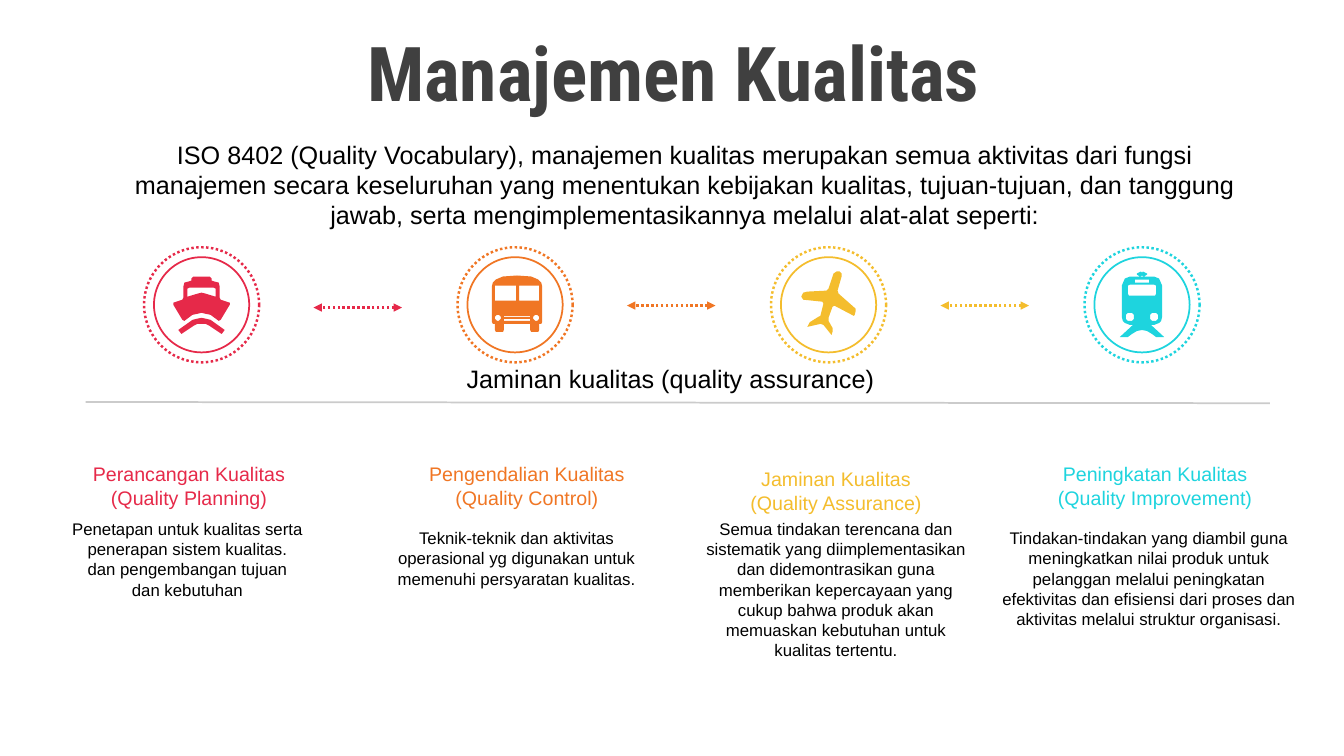
"""Build the quality management slide with its four transport medallions."""
from dataclasses import dataclass
from math import cos, pi, sin

from lxml.etree import SubElement
from pptx import Presentation
from pptx.dml.color import RGBColor
from pptx.enum.dml import MSO_LINE
from pptx.enum.shapes import MSO_CONNECTOR, MSO_SHAPE
from pptx.enum.text import MSO_ANCHOR, MSO_AUTO_SIZE, PP_ALIGN
from pptx.oxml.ns import qn
from pptx.util import Cm, Pt

Contour = list[tuple[float, float]]

COLORS = {
    "planning": "E62949", "control": "F07624", "assurance": "F4BD2D",
    "improvement": "1ED4DE", "title": "404040", "body": "000000", "rule": "CBCBCB",
}
TITLE_FONT = {"name": "Roboto Condensed", "size": Pt(54), "bold": True}
LEAD_FONT = {"name": "Arial", "size": Pt(18)}
HEADING_FONT = {"name": "Arial", "size": Pt(14)}
DETAIL_FONT = {"name": "Arial", "size": Pt(12)}
PITCH, FIRST_CENTER, CENTER_Y = 7.9, 5.08, 7.68
ICON_UNIT = Cm(0.0254)


@dataclass
class Box:
    left: float
    top: float
    width: float
    height: float


@dataclass
class Step:
    color: str
    heading: str
    heading_box: Box
    detail: str
    detail_box: Box
    icon: list[Contour]
    arrow_y: float | None = None


def mirrored(half: Contour, axis: float = 0) -> Contour:
    return [(axis + x, y) for x, y in half] + [(axis - x, y) for x, y in reversed(half)]


def oblong(left: float, top: float, right: float, bottom: float) -> Contour:
    return [(left, top), (right, top), (right, bottom), (left, bottom)]


def disc(x: float, y: float, radius: float) -> Contour:
    return [(x + radius * cos(k * pi / 8), y + radius * sin(k * pi / 8)) for k in range(16)]


SHIP = [
    mirrored([(0, 13), (5, 13.6), (9, 15), (16, 20), (23, 25), (20, 29),
              (8, 21), (4, 19.4), (0, 18.8)]),
    mirrored([(0, -17), (12, -17), (14, -16), (14, -7.5), (4, -11), (0, -12.5)]),
    mirrored([(0, -28), (8, -28), (10, -26), (10, -24), (13, -23), (17, -22), (18, -18),
              (18, -7), (19, -5), (28, -2), (28, 0), (19, 15), (17, 16), (9, 10.5),
              (4, 9), (0, 8.5)]),
]
BUS = [
    mirrored([(0, -29), (14, -28), (21, -25), (24, -22), (25, -18), (25, 17), (24, 19),
              (22, 19), (22, 25), (21, 27), (14, 27), (13, 25), (13, 19)], 2),
    oblong(-20, -19, 1, -4), oblong(4, -19, 24, -4),
    oblong(-11, 14, 15, 16), oblong(-11, 11, 15, 12),
    disc(-17, 13, 3), disc(21, 13, 3),
]
PLANE = [[
    (3, 30), (-5, 20), (-8, 19), (-21, 22), (-19, 18), (-18, 17), (-10, 12), (-8, 11),
    (-5, -1), (-6, -3), (-25, -5), (-27, -8), (-25, -12), (-21, -13), (-2, -14), (0, -16),
    (4, -28), (5, -31), (8, -33), (11, -33), (13, -31), (13, -28), (9, -14), (10, -11),
    (27, 4), (27, 6), (26, 10), (25, 11), (6, 1), (4, 2), (0, 13), (0, 16), (4, 23), (4, 27),
]]
TRAIN = [
    mirrored([(0, -28), (12, -28), (17, -26), (20, -19), (20, 12), (19, 16), (17, 18),
              (12, 20), (9, 20), (22, 32), (14, 32), (10, 29), (5, 26), (0, 25)]),
    disc(-12, 12, 4), disc(12, 12, 4),
    mirrored([(0, -20), (12, -20), (14, -19), (14.5, -17), (14.5, -11), (13, -9), (0, -9)]),
    oblong(-7, -25, 7, -22),
    mirrored([(0, -32), (1, -33), (3, -32), (5, -31), (5, -30), (2, -28), (0, -29)]),
]

STEPS = [
    Step("planning", "Perancangan Kualitas (Quality Planning)", Box(1.83, 11.51, 5.87, 1.45),
         "Penetapan untuk kualitas serta penerapan sistem kualitas. dan pengembangan tujuan "
         "dan kebutuhan", Box(1.55, 12.95, 6.35, 2.31), SHIP, 7.75),
    Step("control", "Pengendalian Kualitas (Quality Control)", Box(10.41, 11.51, 5.74, 1.45),
         "Teknik-teknik dan aktivitas operasional yg digunakan untuk memenuhi persyaratan "
         "kualitas.", Box(9.45, 13.18, 7.14, 1.8), BUS, 7.7),
    Step("assurance", "Jaminan Kualitas (Quality Assurance)", Box(18.49, 11.63, 5.16, 1.45),
         "Semua tindakan terencana dan sistematik yang diimplementasikan dan didemontrasikan "
         "guna memberikan kepercayaan yang cukup bahwa produk akan memuaskan kebutuhan untuk "
         "kualitas tertentu.", Box(17.3, 12.95, 7.54, 3.84), PLANE, 7.7),
    Step("improvement", "Peningkatan Kualitas (Quality Improvement)",
         Box(26.24, 11.51, 5.74, 1.45),
         "Tindakan-tindakan yang diambil guna meningkatkan nilai produk untuk pelanggan "
         "melalui peningkatan efektivitas dan efisiensi dari proses dan aktivitas melalui "
         "struktur organisasi.", Box(24.89, 13.18, 8.13, 2.82), TRAIN),
]


def rgb(color: str) -> RGBColor:
    return RGBColor.from_string(COLORS[color])


def add_text(shapes, words: str, box: Box, font: dict, color: str = "body",
             anchor=MSO_ANCHOR.TOP, align=PP_ALIGN.CENTER, wrap: bool = True,
             grow: bool = True, spacing: dict | None = None) -> None:
    frame = shapes.add_textbox(
        Cm(box.left), Cm(box.top), Cm(box.width), Cm(box.height)).text_frame
    frame.word_wrap = wrap
    frame.auto_size = MSO_AUTO_SIZE.SHAPE_TO_FIT_TEXT if grow else MSO_AUTO_SIZE.NONE
    frame.vertical_anchor = anchor
    paragraph = frame.paragraphs[0]
    for name, value in {"alignment": align, **(spacing or {})}.items():
        setattr(paragraph, name, value)
    run = paragraph.add_run()
    run.text = words
    for name, value in font.items():
        setattr(run.font, name, value)
    run.font.color.rgb = rgb(color)


def style_line(line, color: str, width: float, dotted: bool) -> None:
    line.color.rgb = rgb(color)
    line.width = Pt(width)
    if dotted:
        line.dash_style = MSO_LINE.ROUND_DOT


def add_line(shapes, start: tuple[float, float], end: tuple[float, float], color: str,
             width: float, arrow: bool = False) -> None:
    connector = shapes.add_connector(
        MSO_CONNECTOR.STRAIGHT, *(Cm(value) for value in (*start, *end)))
    style_line(connector.line, color, width, arrow)
    properties = connector.element.spPr
    if arrow:
        for tip in ("a:headEnd", "a:tailEnd"):
            SubElement(properties.find(qn("a:ln")), qn(tip), type="triangle")
    SubElement(properties, qn("a:effectLst"))


def add_ring(shapes, center: float, size: float, color: str, width: float,
             dotted: bool) -> None:
    ring = shapes.add_shape(MSO_SHAPE.OVAL, Cm(center - size / 2), Cm(CENTER_Y - size / 2),
                            Cm(size), Cm(size))
    ring.rotation = 180
    ring.shadow.inherit = False
    ring.fill.background()
    style_line(ring.line, color, width, dotted)


def add_icon(shapes, center: float, contours: list[Contour], color: str) -> None:
    builder = shapes.build_freeform(*contours[0][0], scale=ICON_UNIT)
    for index, contour in enumerate(contours):
        if index:
            builder.move_to(*contour[0])
        builder.add_line_segments(contour[1:], close=True)
    icon = builder.convert_to_shape(Cm(center), Cm(CENTER_Y))
    icon.shadow.inherit = False
    icon.fill.solid()
    icon.fill.fore_color.rgb = rgb(color)
    icon.line.fill.background()


def main() -> None:
    deck = Presentation()
    deck.slide_width, deck.slide_height = Cm(33.87), Cm(19.05)
    shapes = deck.slides.add_slide(deck.slide_layouts[6]).shapes
    add_text(shapes, "Manajemen Kualitas", Box(0.89, 0.94, 32.16, 2.01), TITLE_FONT, "title",
             MSO_ANCHOR.MIDDLE, grow=False,
             spacing={"line_spacing": 0.9, "space_before": Pt(10)})
    add_text(shapes, "ISO 8402 (Quality Vocabulary), manajemen kualitas merupakan semua "
             "aktivitas dari fungsi manajemen secara keseluruhan yang menentukan kebijakan "
             "kualitas, tujuan-tujuan, dan tanggung jawab, serta mengimplementasikannya "
             "melalui alat-alat seperti:", Box(2.51, 3.38, 29.49, 2.57), LEAD_FONT)
    add_line(shapes, (2.16, 10.13), (32, 10.16), "rule", 1.25)
    for index, step in enumerate(STEPS):
        center = FIRST_CENTER + index * PITCH
        add_ring(shapes, center, 2.4, step.color, 1.25, False)
        add_ring(shapes, center, 2.9, step.color, 1.75, True)
        add_icon(shapes, center, step.icon, step.color)
        if step.arrow_y:
            add_line(shapes, (center + 5.05, step.arrow_y), (center + 2.82, step.arrow_y),
                     step.color, 1.75, True)
        add_text(shapes, step.heading, step.heading_box, HEADING_FONT, step.color,
                 MSO_ANCHOR.BOTTOM)
        add_text(shapes, step.detail, step.detail_box, DETAIL_FONT)
    add_text(shapes, "Jaminan kualitas (quality assurance)", Box(11.51, 9.02, 10.87, 1.02),
             LEAD_FONT, align=PP_ALIGN.LEFT, wrap=False)
    deck.save("out.pptx")


if __name__ == "__main__":
    main()
